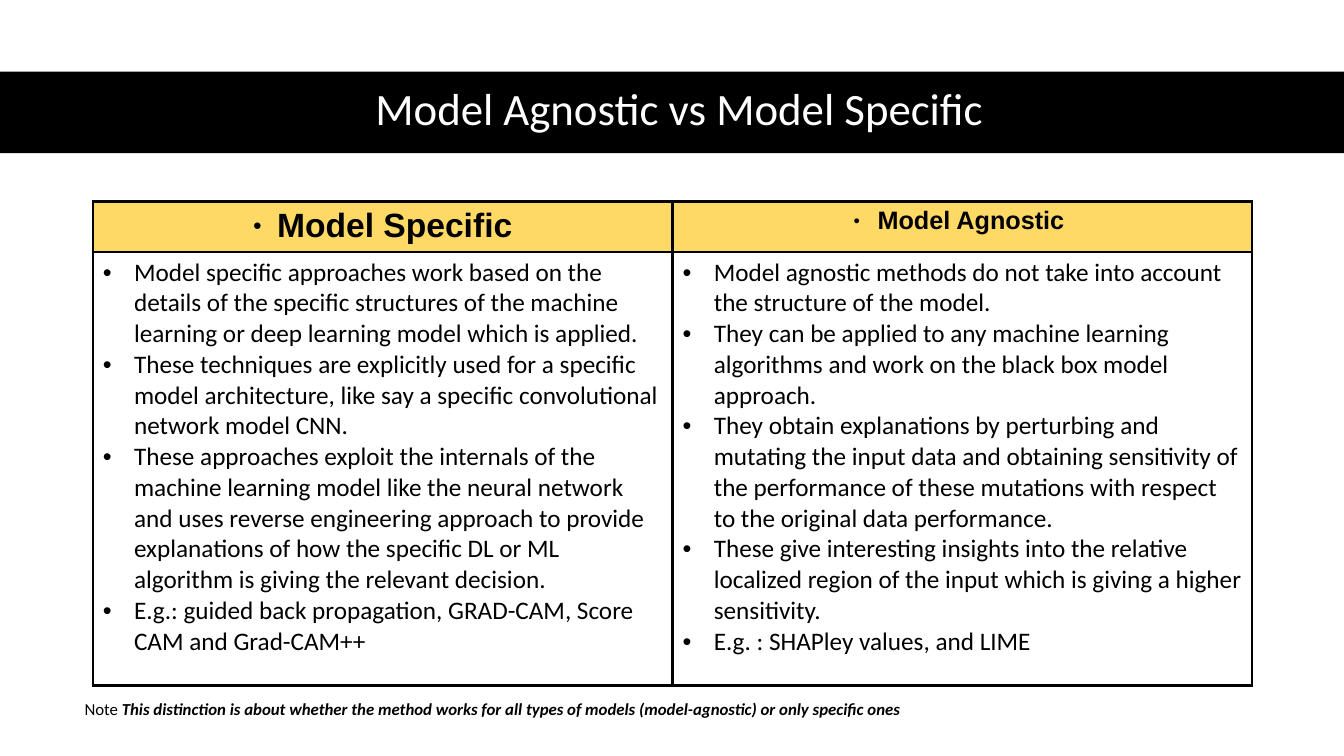
"""Build the slide comparing model-specific and model-agnostic methods."""
from lxml.etree import SubElement
from pptx import Presentation
from pptx.dml.color import RGBColor
from pptx.enum.shapes import MSO_SHAPE
from pptx.enum.text import MSO_ANCHOR, PP_ALIGN
from pptx.oxml import parse_xml
from pptx.oxml.ns import nsdecls, qn
from pptx.util import Inches, Pt

BLACK = RGBColor(0, 0, 0)
WHITE = RGBColor(255, 255, 255)
GOLD = RGBColor(0xFF, 0xD9, 0x66)

TITLE = "Model Agnostic vs Model Specific"
NOTE = (
    ("Note ", False),
    ("This distinction is about whether the method works for all types of models "
     "(model-agnostic) or only specific ones", True),
)
COLUMNS = (
    ("Model Specific", 24, (
        "Model specific approaches work based on the details of the specific structures "
        "of the machine learning or deep learning model which is applied.",
        "These techniques are explicitly used for a specific model architecture, like say "
        "a specific convolutional network model CNN.",
        "These approaches exploit the internals of the machine learning model like the "
        "neural network and uses reverse engineering approach to provide explanations of "
        "how the specific DL or ML algorithm is giving the relevant decision.",
        "E.g.: guided back propagation, GRAD-CAM, Score CAM and Grad-CAM++",
    )),
    ("Model Agnostic ", 18, (
        "Model agnostic methods do not take into account the structure of the model.",
        "They can be applied to any machine learning algorithms and work on the black box "
        "model approach.",
        "They obtain explanations by perturbing and mutating the input data and obtaining "
        "sensitivity of the performance of these mutations with respect to the original "
        "data performance.",
        "These give interesting insights into the relative localized region of the input "
        "which is giving a higher sensitivity.",
        "E.g. : SHAPley values, and LIME",
    )),
)
ROW_HEIGHTS = (0.5, 4.3)


def style(span, size, font="Calibri", color=BLACK, bold=False, italic=False):
    span.font.size = Pt(size)
    span.font.name = font
    span.font.color.rgb = color
    span.font.bold = bold
    span.font.italic = italic


def add_bullet(para, character, indent, percent):
    properties = para._p.get_or_add_pPr()
    properties.set("marL", str(Inches(indent)))
    properties.set("indent", str(-Inches(indent)))
    color = SubElement(properties, qn("a:buClr"))
    SubElement(color, qn("a:srgbClr"), val=str(BLACK))
    SubElement(properties, qn("a:buSzPct"), val=str(percent * 1000))
    SubElement(properties, qn("a:buFont"), typeface="Arial")
    SubElement(properties, qn("a:buChar"), char=character)


def add_borders(cell):
    properties = cell._tc.get_or_add_tcPr()
    for index, side in enumerate("LRTB"):
        properties.insert(index, parse_xml(
            f'<a:ln{side} {nsdecls("a")} w="{Pt(2)}"><a:solidFill>'
            f'<a:srgbClr val="{BLACK}"/></a:solidFill></a:ln{side}>'))


def fill_cell(cell, lines, size, font, bullet, bold=False, align=PP_ALIGN.LEFT):
    cell.text_frame.text = "\n".join(lines)
    for para in cell.text_frame.paragraphs:
        para.alignment = align
        add_bullet(para, *bullet)
        style(para.runs[0], size, font, bold=bold)


deck = Presentation()
deck.slide_width, deck.slide_height = Inches(13.33), Inches(7.5)
page = deck.slides.add_slide(deck.slide_layouts[5])

title = page.shapes.title
title.left, title.top = Inches(0.61), Inches(0.7)
title.width, title.height = Inches(12.26), Inches(0.81)
title.text_frame.text = TITLE
title.text_frame.vertical_anchor = MSO_ANCHOR.MIDDLE
heading = title.text_frame.paragraphs[0]
heading.alignment = PP_ALIGN.CENTER
heading.line_spacing = 0.9
style(heading.runs[0], 32, color=WHITE)

band = page.shapes.add_shape(
    MSO_SHAPE.RECTANGLE, 0, Inches(0.71), deck.slide_width, Inches(0.81))
band.shadow.inherit = False
band.fill.solid()
band.fill.fore_color.rgb = BLACK
band.line.fill.background()
title._element.addprevious(band._element)

note = page.shapes.add_textbox(Inches(0.74), Inches(6.88), Inches(12), Inches(0.3))
note.text_frame.word_wrap = True
for words, strong in NOTE:
    span = note.text_frame.paragraphs[0].add_run()
    span.text = words
    style(span, 12, bold=strong, italic=strong)

table = page.shapes.add_table(
    len(ROW_HEIGHTS), len(COLUMNS), Inches(0.92), Inches(2),
    Inches(11.5), Inches(sum(ROW_HEIGHTS))).table
for row, height in zip(table.rows, ROW_HEIGHTS):
    row.height = Inches(height)
for index, (name, size, points) in enumerate(COLUMNS):
    header, body = table.cell(0, index), table.cell(1, index)
    fill_cell(header, [name], size, "Arial", ("●", 0.24, 45), True, PP_ALIGN.CENTER)
    fill_cell(body, points, 18, "Calibri", ("•", 0.31, 100))
    header.fill.solid()
    header.fill.fore_color.rgb = GOLD
    body.fill.background()
    add_borders(header)
    add_borders(body)

deck.save("out.pptx")
